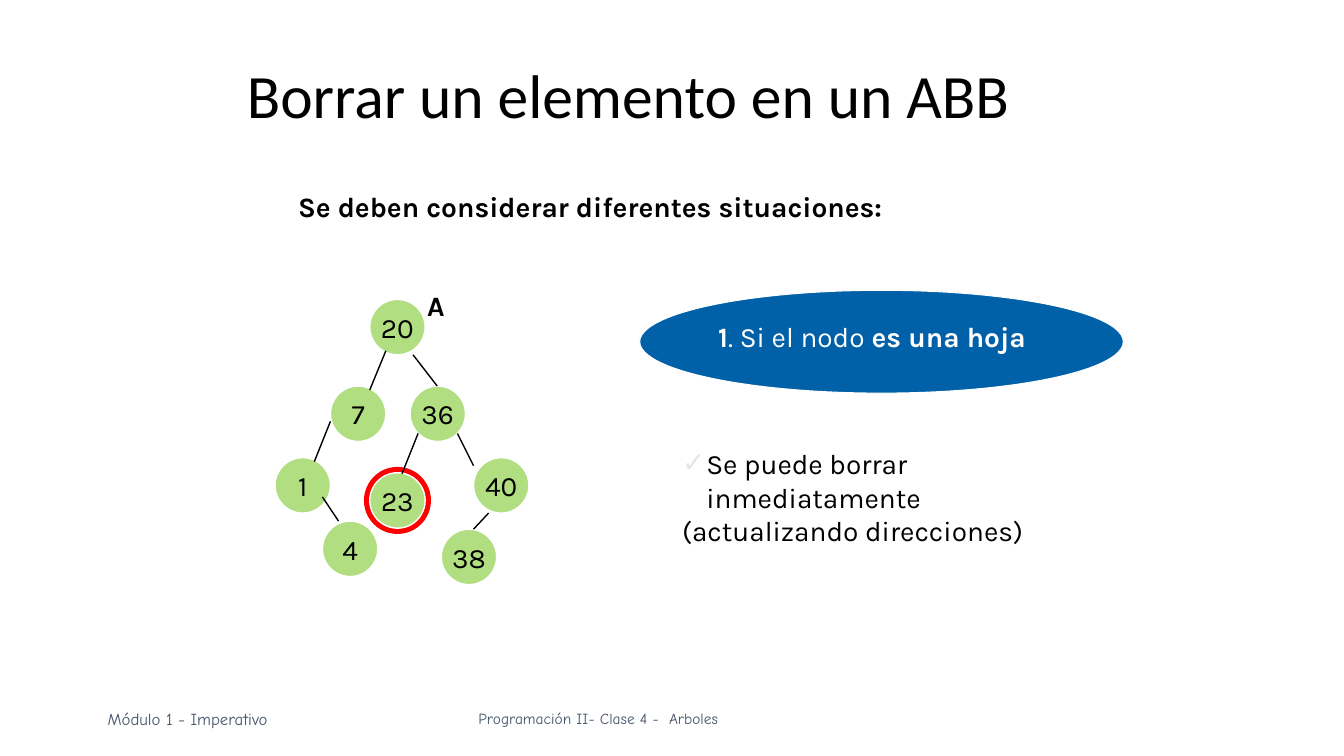
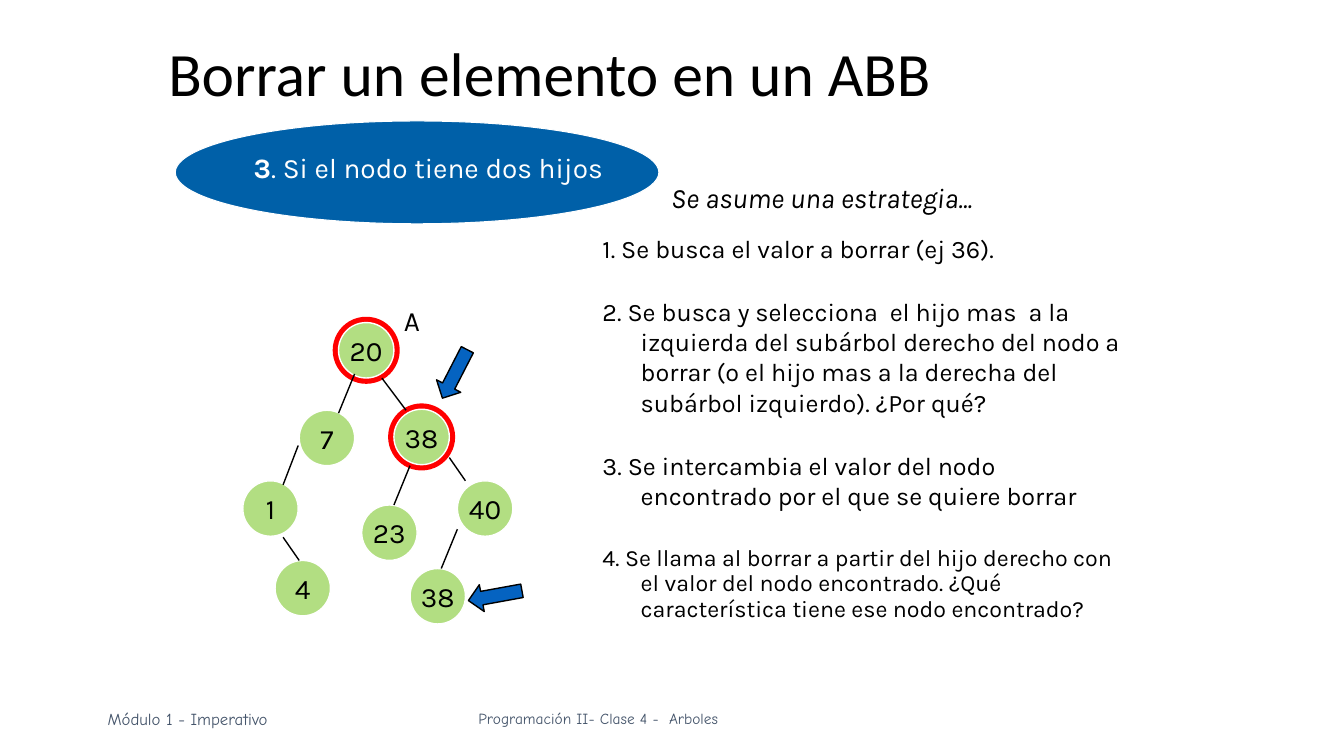
from lxml import etree
from pptx import Presentation
from pptx.dml.color import RGBColor
from pptx.enum.shapes import MSO_CONNECTOR, MSO_SHAPE
from pptx.enum.text import MSO_ANCHOR, MSO_AUTO_SIZE, PP_ALIGN
from pptx.oxml.ns import qn
from pptx.util import Inches, Pt

OVAL, DOWN_ARROW = MSO_SHAPE.OVAL, MSO_SHAPE.DOWN_ARROW
STRAIGHT = MSO_CONNECTOR.STRAIGHT
LEFT, CENTER = PP_ALIGN.LEFT, PP_ALIGN.CENTER
TOP, MIDDLE = MSO_ANCHOR.TOP, MSO_ANCHOR.MIDDLE
NO_AUTOFIT = MSO_AUTO_SIZE.NONE

# Shared style
BLACK, WHITE, RED = "000000", "FFFFFF", "FF0000"
GREEN, BLUE, ARROW_BLUE = "B2DE82", "0060A8", "0563C1"
RING_FILL, FOOTER_GREY, CHECK_GREY = "BED1E0", "44546A", "E7E6E6"
TITLE_FONT, TEXT_FONT, FOOTER_FONT = "Calibri", "Karla", "Comic Neue"
TITLE = "Borrar un elemento en un ABB"
TITLE_SIZE = (8.62, 1.45)
BANNER_SIZE = (4.8, 1.02)
NODE, RING = 0.55, 0.61
ARROW_SIZE = (0.27, 0.54)

FOOTERS = [  # text, box, size
    ("Programación II- Clase 4 -  Arboles", (4.65, 6.99, 3.2, 0.29), 11),
    ("Módulo 1 - Imperativo", (0.97, 6.98, 2.5, 0.3), 12),
]

# Content: runs are (text, style letters); nodes are (value, left, top, ringed)
LEAF_CASE = {
    "title_at": (2.35, 0.25),
    "banner_at": (6.35, 2.88),
    "banner": [("1", "b"), (". Si el nodo ", ""), ("es una hoja", "b")],
    "notes": [
        ([("Se deben considerar diferentes situaciones:", "b")], (2.86, 1.83, 8.06, 0.6)),
        ([("A", "b")], (4.14, 2.81, 0.39, 0.44)),
    ],
    "nodes": [
        ("20", 3.67, 2.97, False), ("7", 3.28, 3.83, False), ("36", 4.07, 3.83, False),
        ("1", 2.73, 4.54, False), ("4", 3.2, 5.17, False), ("23", 3.67, 4.69, True),
        ("40", 4.7, 4.54, False), ("38", 4.38, 5.25, False),
    ],
    "edges": [
        (3.83, 3.48, 3.67, 3.87), (4.1, 3.52, 4.34, 3.83), (3.28, 4.18, 3.12, 4.58),
        (3.2, 4.93, 3.36, 5.17), (4.15, 4.3, 3.99, 4.7), (4.54, 4.3, 4.7, 4.62),
        (4.85, 5.09, 4.7, 5.25),
    ],
    "arrows": [],
    "list_box": (6.67, 4.38, 4.57, 1.1),
    "list": [  # text, size, space before, line spacing, hanging indent, bullet
        ("Se puede borrar inmediatamente", 20, 0, 1, 0.24, "✓"),
        ("(actualizando direcciones)", 20, 0, 1, 0, None),
    ],
}

TWO_CHILDREN_CASE = {
    "title_at": (1.57, 0.03),
    "banner_at": (1.74, 1.2),
    "banner": [("3", "b"), (". Si el nodo tiene dos hijos", "")],
    "notes": [
        ([("Se asume una estrategia...", "i")], (6.56, 1.74, 3.62, 0.44)),
        ([("A", "")], (3.91, 2.96, 0.39, 0.44)),
    ],
    "nodes": [
        ("20", 3.36, 3.2, True), ("7", 2.97, 4.07, False), ("38", 3.91, 4.06, True),
        ("1", 2.41, 4.77, False), ("4", 2.73, 5.56, False), ("23", 3.59, 5.01, False),
        ("40", 4.54, 4.77, False), ("38", 4.07, 5.64, False),
    ],
    "edges": [
        (3.52, 3.71, 3.36, 4.1), (3.79, 3.75, 4.03, 4.07), (2.96, 4.42, 2.81, 4.81),
        (2.81, 5.33, 2.97, 5.56), (4.07, 4.62, 3.91, 5.01), (4.46, 4.54, 4.62, 4.77),
        (4.54, 5.25, 4.38, 5.64),
    ],
    "arrows": [(4.38, 3.44, 27.2), (4.78, 5.64, 79.7)],  # left, top, rotation
    "list_box": (5.88, 2.26, 5.43, 4.24),
    "list": [
        ("1. Se busca el valor a borrar (ej 36).", 18, 0, 1, 0.38, None),
        ("2. Se busca y selecciona  el hijo mas  a la izquierda del subárbol derecho "
         "del nodo a borrar (o el hijo mas a la derecha del subárbol izquierdo). "
         "¿Por qué?", 18, 23.6, 1, 0.38, None),
        ("3. Se intercambia el valor del nodo encontrado por el que se quiere borrar",
         18, 23.8, 1, 0.38, None),
        ("4. Se llama al borrar a partir del hijo derecho con el valor del nodo "
         "encontrado. ¿Qué característica tiene ese nodo encontrado?",
         16.6, 25.6, 0.9, 0.38, None),
    ],
}


def color(hex_string):
    return RGBColor.from_string(hex_string)


def add_run(paragraph, text, size=20, font=TEXT_FONT, ink=BLACK, style=""):
    run = paragraph.add_run()
    run.text = text
    run.font.size = Pt(size)
    run.font.name = font
    run.font.color.rgb = color(ink)
    run.font.bold = "b" in style
    run.font.italic = "i" in style


def place(shape, left, top, width, height):
    shape.left, shape.top = Inches(left), Inches(top)
    shape.width, shape.height = Inches(width), Inches(height)


def add_text(slide, runs, box, **look):
    text_box = slide.shapes.add_textbox(*map(Inches, box))
    text_box.text_frame.word_wrap = True
    for text, style in runs:
        add_run(text_box.text_frame.paragraphs[0], text, style=style, **look)
    return text_box


def add_figure(slide, preset, box, fill, line, line_width):
    figure = slide.shapes.add_shape(preset, *map(Inches, box))
    figure.shadow.inherit = False
    figure.fill.solid()
    figure.fill.fore_color.rgb = color(fill)
    figure.line.color.rgb = color(line)
    figure.line.width = Pt(line_width)
    return figure


def add_title(slide, at):
    title = slide.shapes.title
    place(title, *at, *TITLE_SIZE)
    frame = title.text_frame
    frame.auto_size, frame.vertical_anchor = NO_AUTOFIT, MIDDLE
    paragraph = frame.paragraphs[0]
    paragraph.alignment, paragraph.line_spacing = LEFT, 0.9
    add_run(paragraph, TITLE, 44, TITLE_FONT)


def add_banner(slide, at, runs):
    left, top = at
    add_figure(slide, OVAL, (left, top, *BANNER_SIZE), BLUE, WHITE, 0.75)
    add_text(slide, runs, (left + 0.68, top + 0.24, 4.05, 0.44), ink=WHITE)


def set_bullet(paragraph, indent, bullet):
    props = paragraph._p.get_or_add_pPr()
    props.set("marL", str(Inches(indent)))
    props.set("indent", str(-Inches(indent)))
    if bullet:
        bullet_color = etree.SubElement(props, qn("a:buClr"))
        etree.SubElement(bullet_color, qn("a:srgbClr"), val=CHECK_GREY)
        etree.SubElement(props, qn("a:buChar"), char=bullet)
    else:
        etree.SubElement(props, qn("a:buNone"))


def add_list(slide, box, items):
    body = slide.placeholders[1]
    place(body, *box)
    frame = body.text_frame
    frame.auto_size, frame.vertical_anchor = NO_AUTOFIT, TOP
    for index, (text, size, before, spacing, indent, bullet) in enumerate(items):
        paragraph = frame.add_paragraph() if index else frame.paragraphs[0]
        paragraph.space_before, paragraph.line_spacing = Pt(before), spacing
        set_bullet(paragraph, indent, bullet)
        add_run(paragraph, text, size)


def add_tree(slide, nodes, edges):
    overhang = (RING - NODE) / 2
    for value, left, top, ringed in nodes:
        if ringed:
            ring_box = (left - overhang, top - overhang, RING, RING)
            add_figure(slide, OVAL, ring_box, RING_FILL, RED, 4)
    for value, left, top, ringed in nodes:
        node = add_figure(slide, OVAL, (left, top, NODE, NODE), GREEN, WHITE, 1)
        frame = node.text_frame
        frame.word_wrap, frame.vertical_anchor = False, MIDDLE
        frame.paragraphs[0].alignment = CENTER
        add_run(frame.paragraphs[0], value)
    for ends in edges:
        edge = slide.shapes.add_connector(STRAIGHT, *map(Inches, ends))
        edge.line.color.rgb = color(BLACK)
        edge.line.width = Pt(1)
        etree.SubElement(edge._element.spPr, qn("a:effectLst"))


def add_footers(slide, layout):
    # Text boxes are made on a slide, then moved to the layout that all slides share
    for text, box, size in FOOTERS:
        footer = add_text(slide, [(text, "")], box, size=size, font=FOOTER_FONT,
                          ink=FOOTER_GREY)
        layout.shapes.element.append(footer.element)


def build_slide(deck, layout, case):
    slide = deck.slides.add_slide(layout)
    add_title(slide, case["title_at"])
    add_banner(slide, case["banner_at"], case["banner"])
    for runs, box in case["notes"]:
        add_text(slide, runs, box)
    add_tree(slide, case["nodes"], case["edges"])
    for left, top, rotation in case["arrows"]:
        arrow = add_figure(slide, DOWN_ARROW, (left, top, *ARROW_SIZE),
                           ARROW_BLUE, BLACK, 1)
        arrow.rotation = rotation
    add_list(slide, case["list_box"], case["list"])
    return slide


def main():
    deck = Presentation()
    deck.slide_width, deck.slide_height = Inches(13.34), Inches(7.5)
    layout = deck.slide_layouts[1]
    slides = [build_slide(deck, layout, case) for case in (LEAF_CASE, TWO_CHILDREN_CASE)]
    add_footers(slides[0], layout)
    deck.save("out.pptx")


if __name__ == "__main__":
    main()
